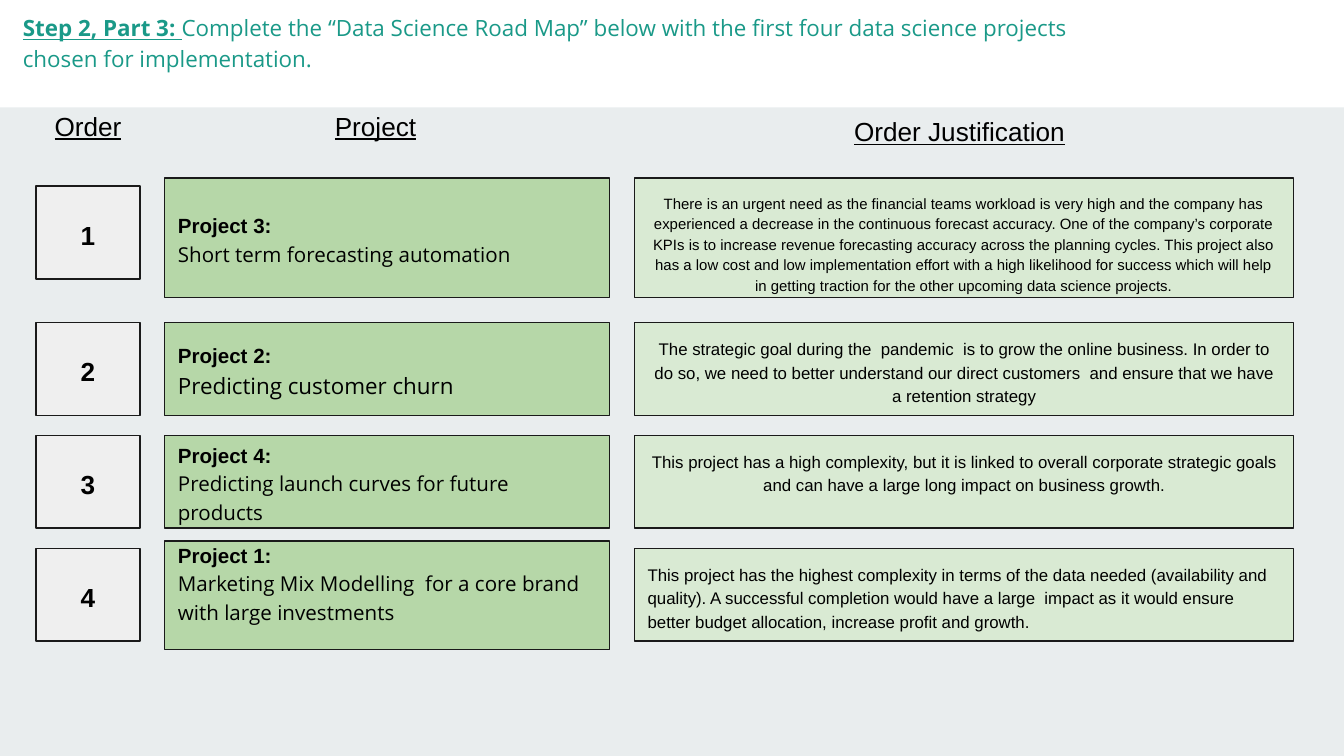
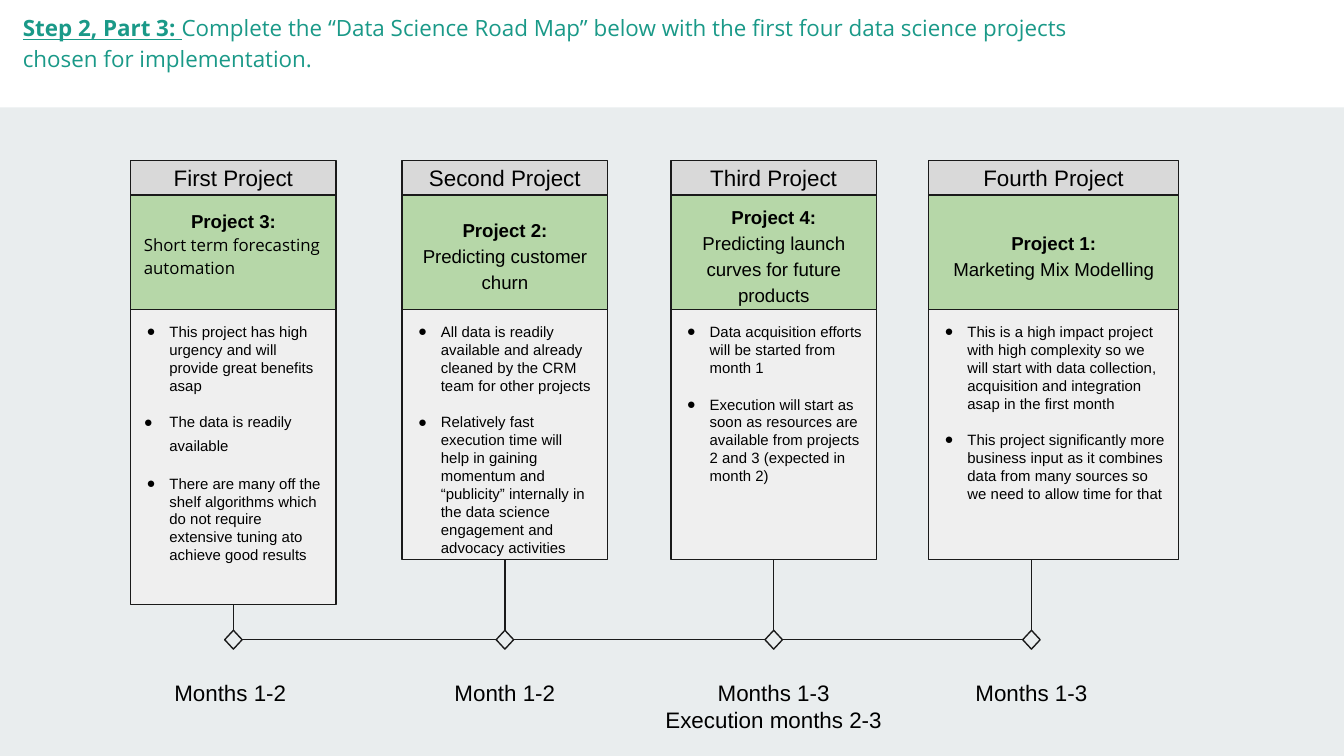
from dataclasses import dataclass

from lxml import etree
from pptx import Presentation
from pptx import util as u
from pptx.dml.color import RGBColor
from pptx.enum import shapes, text
from pptx.oxml.ns import qn


@dataclass(frozen=True)
class Theme:
    backdrop: str = "E9EDEE"
    band: str = "FFFFFF"
    title: str = "1A9988"
    ink: str = "000000"
    outline: str = "1A1A1A"
    project: str = "B6D7A8"
    reason: str = "D9EAD3"
    header: str = "D9D9D9"
    panel: str = "EFEFEF"
    sans: str = "Arial"
    accent: str = "Open Sans"
    stroke: float = 0.75
    leading: float = 1.15
    heading: int = 14
    large: int = 12
    medium: int = 11
    label: int = 10
    body: int = 9
    small: int = 8


theme = Theme()
LEFT, CENTER = text.PP_ALIGN.LEFT, text.PP_ALIGN.CENTER
TOP, MIDDLE = text.MSO_ANCHOR.TOP, text.MSO_ANCHOR.MIDDLE
RECTANGLE, DIAMOND = shapes.MSO_SHAPE.RECTANGLE, shapes.MSO_SHAPE.DIAMOND

deck = Presentation()
deck.slide_width = u.Inches(10)
deck.slide_height = deck.slide_width * 9 // 16
CELL = deck.slide_width / 100


def draw(holder, grid, fill=None, form=RECTANGLE, line=True):
    place = [round(cells * CELL) for cells in grid]
    if fill is None:
        return holder.add_textbox(*place)
    box = holder.add_shape(form, *place)
    box.shadow.inherit = False
    box.fill.solid()
    box.fill.fore_color.rgb = RGBColor.from_string(fill)
    if line:
        box.line.color.rgb = RGBColor.from_string(theme.outline)
        box.line.width = u.Pt(theme.stroke)
    else:
        box.line.fill.background()
    return box


def write(box, paras, anchor=TOP, ink=theme.ink, bottom=1):
    frame = box.text_frame
    inset = round(CELL)
    settings = dict(word_wrap=True, vertical_anchor=anchor, margin_left=inset,
                    margin_right=inset, margin_top=inset, margin_bottom=round(bottom * CELL))
    for name, value in settings.items():
        setattr(frame, name, value)
    for index, (layout, spans) in enumerate(paras):
        para = frame.add_paragraph() if index else frame.paragraphs[0]
        for name, value in layout.items():
            setattr(para, name, value)
        for words, size, look in spans:
            span = para.add_run()
            span.text = words
            span.font.color.rgb = RGBColor.from_string(ink)
            for name, value in {"name": theme.sans, "size": u.Pt(size), **look}.items():
                setattr(span.font, name, value)


centered = dict(alignment=CENTER)
loose = dict(alignment=LEFT, line_spacing=theme.leading)
loose_centered = dict(alignment=CENTER, line_spacing=theme.leading)
bold, underlined, accent = dict(bold=True), dict(underline=True), dict(name=theme.accent)

blank = deck.slide_layouts[6]
blank.background.fill.solid()
blank.background.fill.fore_color.rgb = RGBColor.from_string(theme.backdrop)
order_page, timeline_page = [deck.slides.add_slide(blank) for _ in range(2)]
band = draw(order_page.shapes, (0, 0, 100, 8), theme.band, line=False)
blank.shapes._spTree.append(band._element)

for page in (order_page, timeline_page):
    write(draw(page.shapes, (0.72, -0.23, 84.4, 3.7)), [(loose, [
        ("Step 2, Part 3: ", theme.large, {**accent, **bold, **underlined}),
        ("Complete the “Data Science Road Map” below with the first four data science "
         "projects chosen for implementation.", theme.large, accent),
    ])], ink=theme.title)

for heading, grid in [
    ("Order", (2.7, 7.5, 7.7, 3.7)),
    ("Project", (23.15, 7.5, 9.6, 3.7)),
    ("Order Justification", (61.9, 7.9, 19, 3.7)),
]:
    write(draw(order_page.shapes, grid),
          [(centered, [(heading, theme.heading, underlined)])], MIDDLE)

ROW_TOP, ROW_STEP, ROW_HEIGHT = 24, 8.4, 6.9
second, third, fourth = [ROW_TOP + ROW_STEP * row for row in range(3)]
ranking = [
    ("Project 3:", [("Short term forecasting automation", theme.medium, accent)],
     13.85, 13.25, 8.9, 13.25, 8.9, 1,
     "There is an urgent need as the financial teams workload is very high and the company has "
     "experienced a decrease in the continuous forecast accuracy. One of the company’s corporate "
     "KPIs is to increase revenue forecasting accuracy across the planning cycles. This project "
     "also has a low cost and low implementation effort with a high likelihood for success which "
     "will help in getting traction for the other upcoming data science projects.",
     theme.small, loose_centered),
    ("Project 2:", [("Predicting customer churn", theme.large, accent)],
     second, second, ROW_HEIGHT, second, ROW_HEIGHT, 1,
     "The strategic goal during the  pandemic  is to grow the online business. In order to do so, "
     "we need to better understand our direct customers  and ensure that we have a retention "
     "strategy", theme.body, loose_centered),
    ("Project 4:", [("Predicting launch curves for future products", theme.medium, accent),
                    (" ", theme.small, accent)],
     third, third, ROW_HEIGHT, third, ROW_HEIGHT, 1,
     "This project has a high complexity, but it is linked to overall corporate strategic goals "
     "and can have a large long impact on business growth.", theme.body, loose_centered),
    ("Project 1:", [("Marketing Mix Modelling  for a core brand with large investments",
                     theme.medium, accent)],
     fourth, 40.25, 8.1, fourth, ROW_HEIGHT, 3,
     "This project has the highest complexity in terms of the data needed (availability and "
     "quality). A successful completion would have a large  impact as it would ensure better "
     "budget allocation, increase profit and growth.", theme.body, loose),
]
for rank, (project, goal, rank_top, project_top, project_height, reason_top, reason_height,
           bottom, reason, reason_size, reason_layout) in enumerate(ranking, 1):
    reason_box = draw(order_page.shapes, (47.2, reason_top, 49.05, reason_height), theme.reason)
    write(reason_box, [(reason_layout, [(reason, reason_size, {})])])
    project_box = draw(order_page.shapes, (12.25, project_top, 33.1, project_height), theme.project)
    write(project_box, [(loose, [(project, theme.medium, bold)]), (loose, goal)],
          MIDDLE, bottom=bottom)
    rank_box = draw(order_page.shapes, (2.67, rank_top, 7.75, ROW_HEIGHT), theme.panel)
    write(rank_box, [(loose_centered, [(str(rank), theme.heading, bold)])], MIDDLE)

COLUMN_WIDTH = 15.3
columns = [
    (9.72, 15.3, 21.95, "First Project", "Project 3:", "Short term forecasting automation",
     theme.body, accent, loose, 2.8,
     ["This project has high urgency and will provide great benefits asap",
      "The data is readily available",
      "There are many off the shelf algorithms which do not require extensive tuning ato "
      "achieve good results"], ["Months 1-2 "]),
    (29.92, 15.3, 18.6, "Second Project", "Project 2:", "Predicting customer churn",
     theme.label, {}, loose_centered, 1,
     ["All data is readily available and already cleaned by the CRM team for other projects",
      "Relatively fast execution time will help in gaining momentum and “publicity” internally "
      "in the data science engagement and advocacy activities"], ["Month 1-2"]),
    (49.92, 15.3, 18.6, "Third Project", "Project 4:", "Predicting launch curves for future products",
     theme.label, {}, loose_centered, 1,
     ["Data acquisition efforts will be started from month 1",
      "Execution will start as soon as resources are available from projects 2 and 3 "
      "(expected in month 2)"], ["Months 1-3", "Execution months 2-3"]),
    (69.1, 18.6, 18.6, "Fourth Project", "Project 1:", "Marketing Mix Modelling",
     theme.label, {}, loose_centered, 1,
     ["This is a high impact project with high complexity so we will start with data collection, "
      "acquisition and integration asap in the first month",
      "This project significantly more business input as it combines data from many sources so "
      "we need to allow time for that"], ["Months 1-3"]),
]
STRAIGHT = shapes.MSO_CONNECTOR.STRAIGHT
timeline = timeline_page.shapes.add_connector(STRAIGHT, 0, 0, 0, 0)
connectors, milestones = [timeline], []
for (left, width, height, header, project, goal, goal_size, goal_look, goal_layout, bottom,
     notes, months) in columns:
    axis = left + COLUMN_WIDTH / 2
    card = timeline_page.shapes.add_group_shape().shapes
    milestone = draw(card, (axis - 0.65, 46.9, 1.3, 1.4), theme.backdrop, DIAMOND)
    milestones.append(milestone)
    write(draw(card, (left, 14.52, width, 8.8), theme.project),
          [(loose_centered, [(project, theme.label, bold)]),
           (goal_layout, [(goal, goal_size, goal_look)])], MIDDLE, bottom=bottom)
    write(draw(card, (left, 11.93, width, 2.6), theme.header),
          [(centered, [(header, theme.large, {})])], MIDDLE)
    panel = draw(card, (left, 23.02, width, height), theme.panel)
    paras = [(dict(alignment=LEFT, space_before=u.Pt(10 if index else 0)), [(note, theme.small, {})])
             for index, note in enumerate(notes)]
    if len(notes) == 3:
        paras[1][1].append((" ", theme.medium, {}))
    write(panel, paras)
    for index, para in enumerate(panel.text_frame.paragraphs):
        hang = 1.9 if len(notes) == 3 and index == 1 else 1.7
        layout = para._p.get_or_add_pPr()
        layout.set("marL", str(round(1.9 * CELL)))
        layout.set("indent", str(round(-hang * CELL)))
        tint = etree.SubElement(layout, qn("a:buClr"))
        etree.SubElement(tint, qn("a:srgbClr"), val=theme.ink)
        etree.SubElement(layout, qn("a:buFont"), typeface=theme.sans)
        etree.SubElement(layout, qn("a:buChar"), char="●")

    stem = timeline_page.shapes.add_connector(
        STRAIGHT, round(axis * CELL), panel.top + panel.height, round(axis * CELL), milestone.top)
    if width == COLUMN_WIDTH:
        stem.begin_connect(panel, 2)
    stem.end_connect(milestone, 0)
    connectors.append(stem)
    write(draw(timeline_page.shapes, (axis - 9.3, 49.55, 18.6, 2.1 + 1.6 * len(months))),
          [(centered, [(month, theme.large, {})]) for month in months])

timeline.begin_connect(milestones[0], 3)
timeline.end_connect(milestones[-1], 1)
for connector in connectors:
    connector.line.color.rgb = RGBColor.from_string(theme.outline)
    connector.line.width = u.Pt(theme.stroke)
    etree.SubElement(connector._element.spPr, qn("a:effectLst"))

deck.save("out.pptx")
